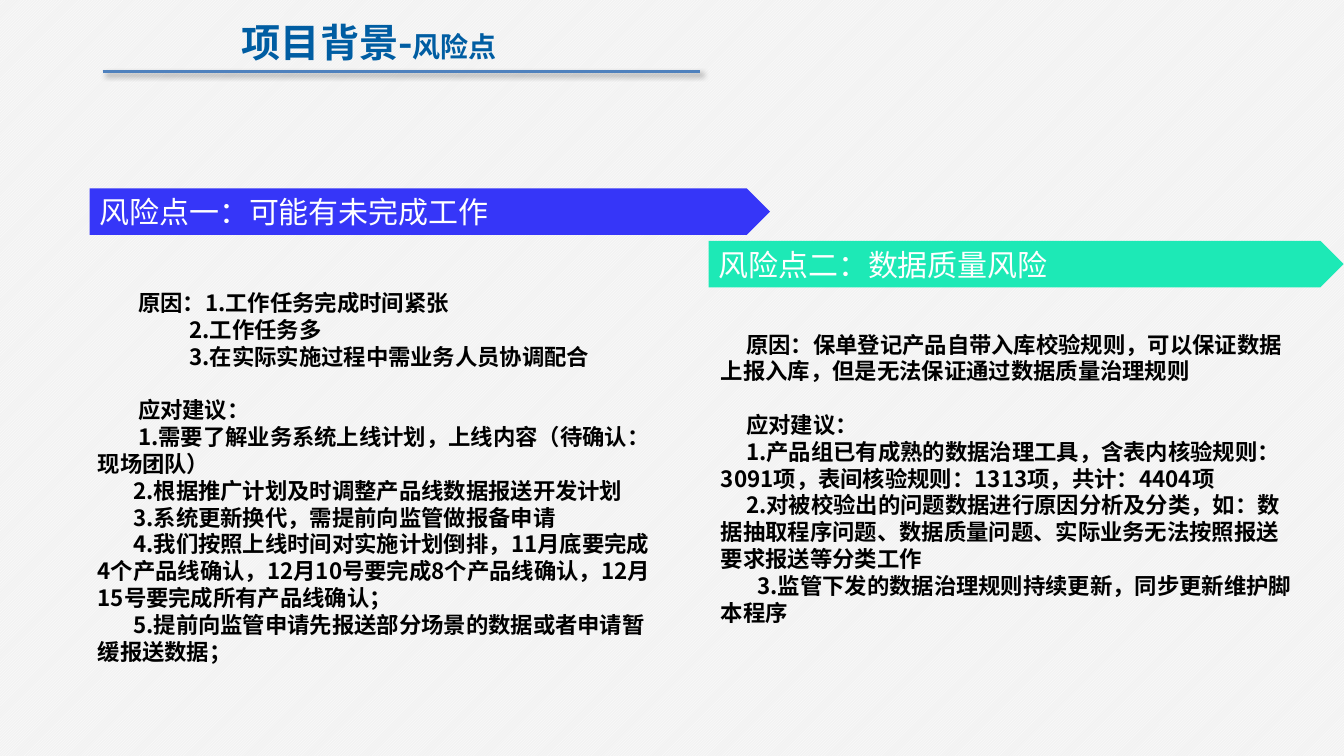
from lxml.etree import SubElement
from pptx import Presentation
from pptx.dml.color import RGBColor
from pptx.enum.dml import MSO_PATTERN
from pptx.enum.shapes import MSO_CONNECTOR, MSO_SHAPE
from pptx.enum.text import MSO_ANCHOR as ANCHOR, PP_ALIGN as ALIGN
from pptx.oxml.ns import qn
from pptx.util import Pt

FONT = "Noto Sans CJK SC"
WHITE = RGBColor(0xFF, 0xFF, 0xFF)
BLACK = RGBColor(0, 0, 0)
GREY = RGBColor(0xF2, 0xF2, 0xF2)
BLUE = RGBColor(0x36, 0x36, 0xF8)
GREEN = RGBColor(0x1D, 0xE9, 0xB6)
TITLE_BLUE = RGBColor(0x00, 0x5D, 0xA2)
RULE_BLUE = RGBColor(0x4F, 0x81, 0xBD)
BODY_LINE = 19.15

CAUSES_1 = [
    (28.8, "原因：1.工作任务完成时间紧张"),
    (65.5, "2.工作任务多"),
    (65.5, "3.在实际实施过程中需业务人员协调配合"),
]
ADVICE_1 = [
    (28.8, "应对建议："),
    (28.8, "1.需要了解业务系统上线计划，上线内容（待确认：现场团队）"),
    (25.4, "2.根据推广计划及时调整产品线数据报送开发计划"),
    (25.4, "3.系统更新换代，需提前向监管做报备申请"),
    (25.4, "4.我们按照上线时间对实施计划倒排，11月底要完成4个产品线确认，"
           "12月10号要完成8个产品线确认，12月15号要完成所有产品线确认；"),
    (25.4, "5.提前向监管申请先报送部分场景的数据或者申请暂缓报送数据；"),
]
CAUSES_2 = [
    (18, "原因：保单登记产品自带入库校验规则，可以保证数据上报入库，"
         "但是无法保证通过数据质量治理规则"),
]
ADVICE_2 = [
    (18, "应对建议："),
    (18, "1.产品组已有成熟的数据治理工具，含表内核验规则：3091项，"
         "表间核验规则：1313项，共计：4404项"),
    (18, "2.对被校验出的问题数据进行原因分析及分类，如：数据抽取程序问题、"
         "数据质量问题、实际业务无法按照报送要求报送等分类工作"),
    (26, "3.监管下发的数据治理规则持续更新，同步更新维护脚本程序"),
]


class Deck:
    """Holds the slide and its style, and draws each kind of element."""

    def __init__(self):
        self.prs = Presentation()
        self.prs.slide_width, self.prs.slide_height = Pt(960), Pt(540)
        self.s = self.prs.slides.add_slide(self.prs.slide_layouts[6])
        fill = self.s.background.fill
        fill.patterned()
        fill.pattern = MSO_PATTERN.LIGHT_UPWARD_DIAGONAL
        fill.fore_color.rgb, fill.back_color.rgb = WHITE, GREY

    def style(self, font, size, color, bold=False):
        font.name, font.size, font.bold = FONT, Pt(size), bold
        font.color.rgb = color
        latin = font._element.find(qn("a:latin"))
        ea = latin.makeelement(qn("a:ea"), {"typeface": FONT})
        latin.addnext(ea)

    def textbox(self, x, y, w, h):
        tf = self.s.shapes.add_textbox(Pt(x), Pt(y), Pt(w), Pt(h)).text_frame
        tf.word_wrap = True
        return tf

    def title(self, x, y, w, h, parts):
        tf = self.textbox(x, y, w, h)
        tf.vertical_anchor = ANCHOR.MIDDLE
        p = tf.paragraphs[0]
        p.alignment = ALIGN.CENTER
        for text, size in parts:
            r = p.add_run()
            r.text = text
            self.style(r.font, size, TITLE_BLUE, True)

    def rule(self, x1, x2, y):
        line = self.s.shapes.add_connector(
            MSO_CONNECTOR.STRAIGHT, Pt(x1), Pt(y), Pt(x2), Pt(y))
        line.line.color.rgb, line.line.width = RULE_BLUE, Pt(2)
        effects = SubElement(line._element.spPr, qn("a:effectLst"))
        shadow = SubElement(effects, qn("a:outerShdw"), blurRad=str(Pt(4)),
                            dist=str(Pt(3)), dir="2700000", rotWithShape="0")
        color = SubElement(shadow, qn("a:srgbClr"), val=str(BLACK))
        SubElement(color, qn("a:alpha"), val="40000")

    def banner(self, x, y, w, h, text, color):
        sp = self.s.shapes.add_shape(
            MSO_SHAPE.PENTAGON, Pt(x), Pt(y), Pt(w), Pt(h))
        sp.shadow.inherit = False
        sp.fill.solid()
        sp.fill.fore_color.rgb = color
        sp.line.fill.background()
        tf = sp.text_frame
        tf.vertical_anchor = ANCHOR.MIDDLE
        p = tf.paragraphs[0]
        p.text, p.alignment = text, ALIGN.LEFT
        self.style(p.font, 21.4, WHITE)

    def body(self, x, y, w, h, *blocks):
        tf = self.textbox(x, y, w, h)
        tf.margin_left = tf.margin_right = Pt(9.6)
        tf.margin_top = tf.margin_bottom = Pt(4.8)
        p = tf.paragraphs[0]
        for b, block in enumerate(blocks):
            for i, (indent, text) in enumerate(block):
                if b or i:
                    p = tf.add_paragraph()
                p.text, p.line_spacing = text, Pt(BODY_LINE)
                p._p.get_or_add_pPr().set("indent", str(Pt(indent)))
                if b and not i:
                    p.space_before = Pt(BODY_LINE)
                self.style(p.font, 16, BLACK, True)


def main():
    d = Deck()
    d.banner(64, 134.6, 486, 33.2, "风险点一：可能有未完成工作", BLUE)
    d.banner(506.2, 172, 453.6, 33.2, "风险点二：数据质量风险", GREEN)
    d.body(60.2, 202, 415.4, 280.8, CAUSES_1, ADVICE_1)
    d.body(505.4, 231.6, 428.4, 242.6, CAUSES_2, ADVICE_2)
    d.rule(73.4, 500.2, 51.1)
    d.title(134.6, 9.4, 258.5, 41, [("项目背景-", 28), ("风险点", 20)])
    d.prs.save("out.pptx")


if __name__ == "__main__":
    main()
